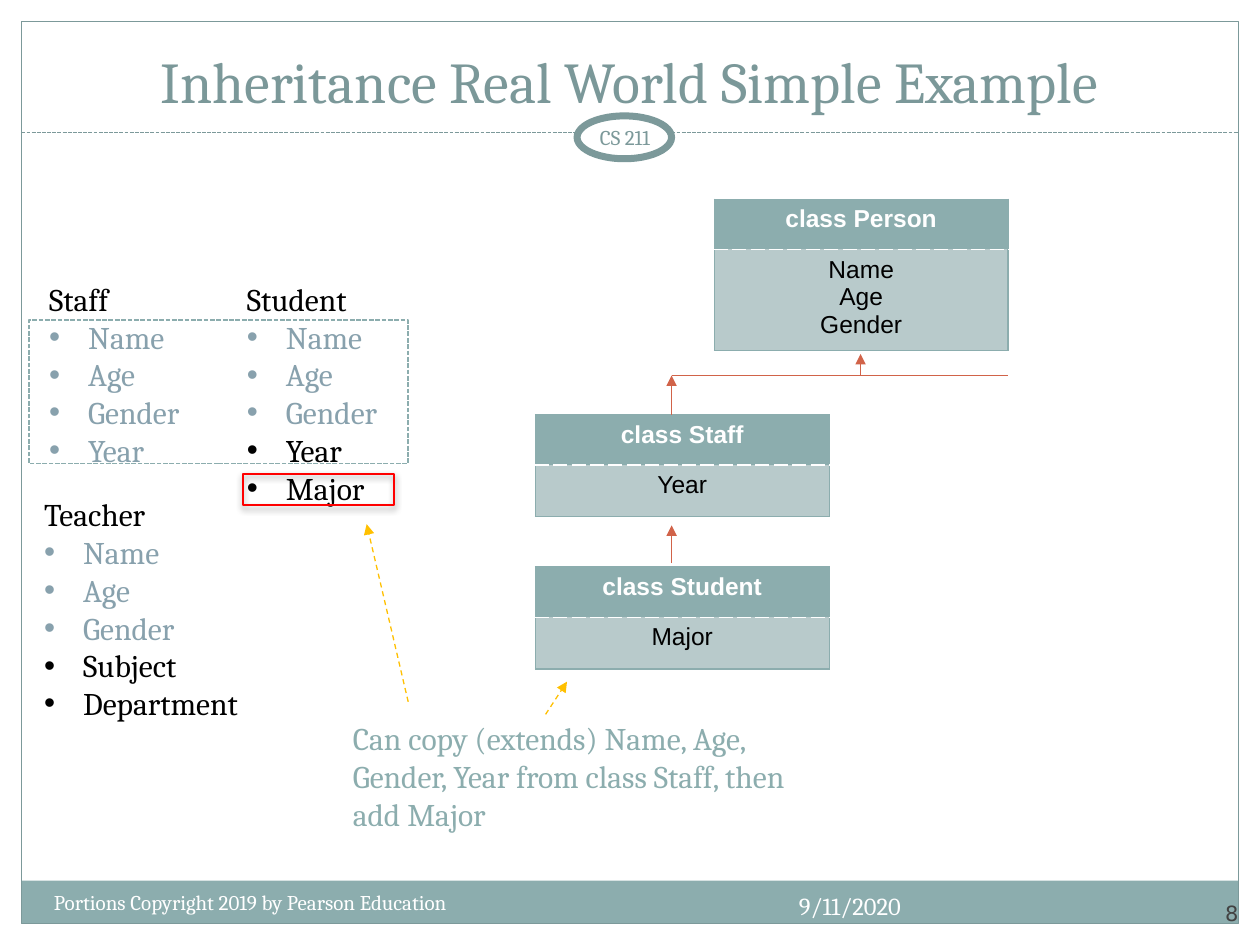
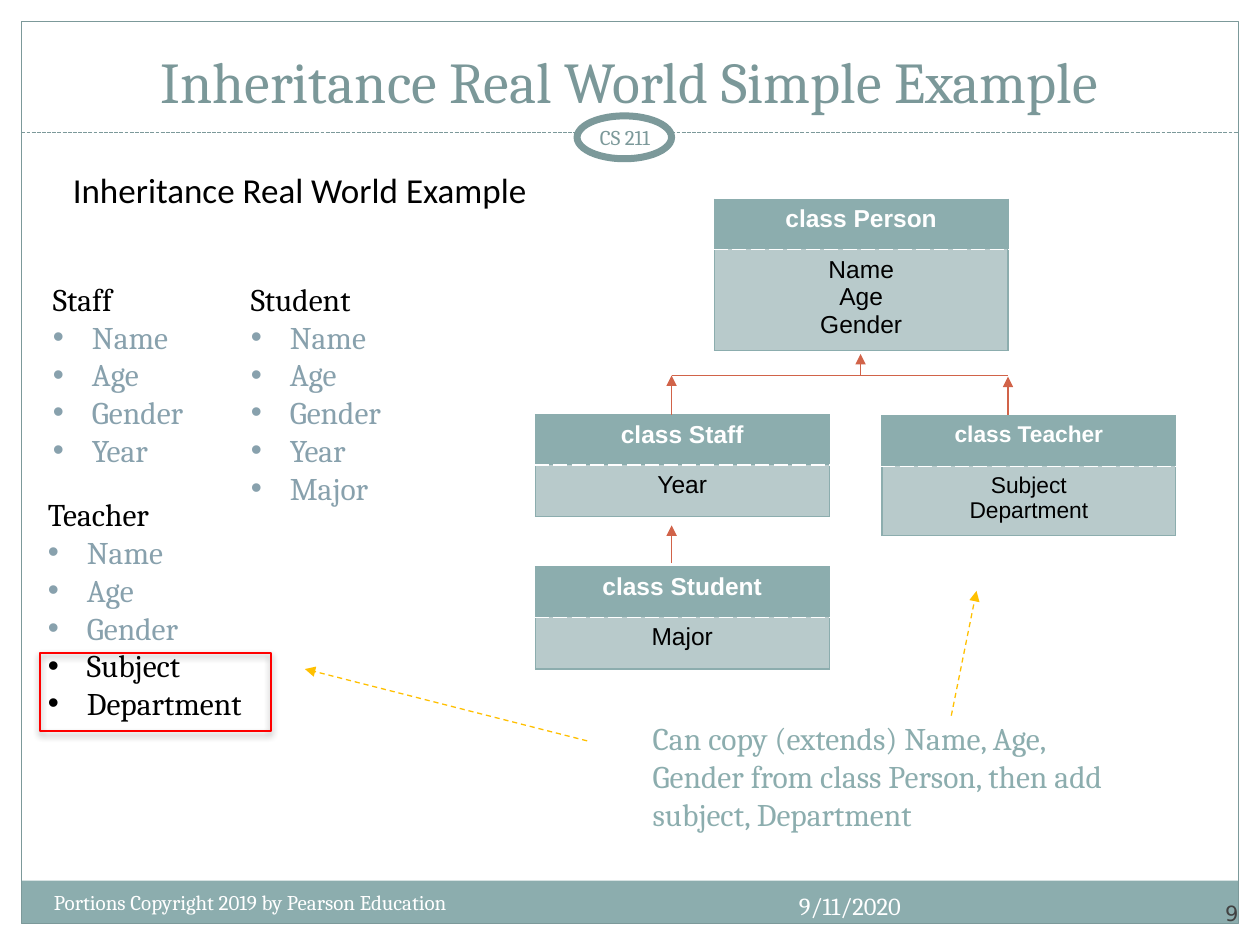
from lxml.etree import SubElement
from pptx import Presentation
from pptx.dml.color import RGBColor
from pptx.enum.dml import MSO_LINE
from pptx.enum.shapes import MSO_CONNECTOR, MSO_SHAPE
from pptx.enum.text import MSO_ANCHOR, MSO_AUTO_SIZE, PP_ALIGN
from pptx.oxml.ns import qn
from pptx.util import Inches, Pt

WIDTH, HEIGHT = 10, 7.5
MARGIN = 0.17
RULE_Y = 1.05
INDENT = 0.31
CLASS_W = 2.33
HEADER_H = 0.4
BRANCH_Y, STAFF_X, TEACHER_X = 2.98, 5.33, 8

TEAL = RGBColor(0x8C, 0xAD, 0xAE)
PALE_TEAL = RGBColor(0xB8, 0xCA, 0xCB)
FRAME = RGBColor(0x7C, 0x99, 0x9A)
TITLE = RGBColor(0x7B, 0x98, 0x99)
INHERITED = RGBColor(0x88, 0xA1, 0xAD)
ORANGE = RGBColor(0xD1, 0x63, 0x49)
YELLOW = RGBColor(0xFF, 0xC0, 0x00)
RED = RGBColor(0xFF, 0x00, 0x00)
GREY = RGBColor(0x42, 0x42, 0x42)
BLACK = RGBColor(0, 0, 0)
WHITE = RGBColor(0xFF, 0xFF, 0xFF)

HEADLINE = "Inheritance Real World Simple Example"
COURSE = "CS 211"
DATE = "9/11/2020"
COPYRIGHT = "Portions Copyright 2019 by Pearson Education"
FIRST_NUMBER = 8

# heading, attributes, box
LISTS = [
    ("Staff", ["Name", "Age", "Gender", "Year"], (0.29, 2.17, 1.36, 1.62)),
    ("Student", ["Name", "Age", "Gender", "Year", "Major"], (1.86, 2.17, 1.36, 1.92)),
    ("Teacher", ["Name", "Age", "Gender", "Subject", "Department"], (0.25, 3.88, 1.87, 1.92)),
]
# class, attributes, left, top, body height, text size
PERSON = ("class Person", ["Name", "Age", "Gender"], 5.67, 1.58, 0.8, 14)
STAFF = ("class Staff", ["Year"], 4.25, 3.29, 0.41, 14)
STUDENT = ("class Student", ["Major"], 4.25, 4.5, 0.41, 14)
TEACHER = ("class Teacher", ["Subject", "Department"], 7, 3.3, 0.55, 13)

BRANCHES = [
    ((6.83, BRANCH_Y), (6.83, 2.81)),
    ((STAFF_X, 3.29), (STAFF_X, BRANCH_Y)),
    ((STAFF_X, 4.47), (STAFF_X, 4.17)),
]
TEACHER_BRANCH = ((TEACHER_X, 3.29), (TEACHER_X, 2.99))

SLIDES = [
    {
        "classes": [PERSON, STAFF, STUDENT],
        "branches": BRANCHES,
        "list_shift": 0,
        "own": {"Student": ["Year", "Major"], "Teacher": ["Subject", "Department"]},
        "highlight": (1.93, 3.76, 1.2, 0.25),
        "inherited_box": (0.23, 2.54, 3.01, 1.14),
        "note": "Can copy (extends) Name, Age, Gender, Year from class Staff, then add Major",
        "note_left": 2.7,
        "pointers": [((3.24, 5.57), (2.91, 4.16)), ((4.33, 5.67), (4.5, 5.41))],
    },
    {
        "subtitle": "Inheritance Real World Example",
        "classes": [PERSON, STAFF, TEACHER, STUDENT],
        "branches": BRANCHES + [TEACHER_BRANCH],
        "list_shift": 0.03,
        "own": {"Teacher": ["Subject", "Department"]},
        "highlight": (0.32, 5.18, 1.83, 0.62),
        "note": "Can copy (extends) Name, Age, Gender from class Person, then add subject, Department",
        "note_left": 5.08,
        "pointers": [((4.66, 5.88), (2.42, 5.31)), ((7.55, 5.68), (7.75, 4.69))],
    },
]


def inches(values):
    return [Inches(value) for value in values]


def place(placeholder, box):
    placeholder.left, placeholder.top, placeholder.width, placeholder.height = inches(box)


def style(paragraph, size, color, font="Cambria", align=PP_ALIGN.LEFT, bold=False):
    paragraph.alignment = align
    paragraph.space_before = Pt(0)
    for run in paragraph.runs:
        run.font.size, run.font.name, run.font.bold = Pt(size), font, bold
        run.font.color.rgb = color


def set_frame(frame, anchor=MSO_ANCHOR.TOP, wrap=True):
    frame.word_wrap = wrap
    frame.auto_size = MSO_AUTO_SIZE.NONE
    frame.vertical_anchor = anchor


def add_label(slide, text, box, size, color, anchor=MSO_ANCHOR.TOP, inset=None, wrap=True, **look):
    frame = slide.shapes.add_textbox(*inches(box)).text_frame
    set_frame(frame, anchor, wrap)
    if inset is not None:
        frame.margin_left = frame.margin_right = Inches(inset)
        frame.margin_top = frame.margin_bottom = Inches(inset)
    frame.text = text
    style(frame.paragraphs[0], size, color, **look)
    return frame


def add_outline(slide, kind, box, fill=None, line=None, width=0.75, dash=None):
    shape = slide.shapes.add_shape(kind, *inches(box))
    shape.shadow.inherit = False
    if fill is None:
        shape.fill.background()
    else:
        shape.fill.solid()
        shape.fill.fore_color.rgb = fill
    if line is None:
        shape.line.fill.background()
    else:
        shape.line.color.rgb = line
        shape.line.width = Pt(width)
        shape.line.dash_style = dash
    return shape


def add_line(slide, start, end, color, dash=None, arrow=False):
    line = slide.shapes.add_connector(MSO_CONNECTOR.STRAIGHT, *inches(start + end))
    line.line.color.rgb = color
    line.line.width = Pt(0.75)
    line.line.dash_style = dash
    properties = line.element.spPr
    if arrow:
        SubElement(properties.find(qn("a:ln")), qn("a:tailEnd"), type="triangle")
    SubElement(properties, qn("a:effectLst"))


def add_frame(slide):
    """Draw the border, title rule, course badge and footer shared by all slides."""
    title = slide.shapes.title
    place(title, (0.33, 0.25, 9.33, 0.71))
    set_frame(title.text_frame, MSO_ANCHOR.BOTTOM)
    title.text_frame.text = HEADLINE
    style(title.text_frame.paragraphs[0], 33, TITLE, align=PP_ALIGN.CENTER)

    inner_w, inner_h = WIDTH - 2 * MARGIN, HEIGHT - 2 * MARGIN
    add_outline(slide, MSO_SHAPE.RECTANGLE, (MARGIN, 6.99, inner_w, 0.34), fill=TEAL)
    add_outline(slide, MSO_SHAPE.RECTANGLE, (MARGIN, MARGIN, inner_w, inner_h), line=FRAME)
    add_line(slide, (MARGIN, RULE_Y), (WIDTH - MARGIN, RULE_Y), FRAME, MSO_LINE.SQUARE_DOT)
    add_outline(slide, MSO_SHAPE.OVAL, (4.58, 0.92, 0.75, 0.34), WHITE, FRAME, 4)
    add_label(slide, COURSE, (4.5, 0.92, 0.92, 0.33), 12, FRAME, MSO_ANCHOR.MIDDLE,
              inset=0.05, align=PP_ALIGN.CENTER)
    add_label(slide, COPYRIGHT, (0.33, 7.01, 4.08, 0.4), 12, WHITE)
    add_label(slide, DATE, (5.59, 7.02, 1.66, 0.4), 14, WHITE, align=PP_ALIGN.RIGHT)


def add_number(slide, number):
    frame = add_label(slide, str(number), (9, 6.95, 0.83, 0.4), 12, GREY, MSO_ANCHOR.BOTTOM,
                      inset=0, font="DejaVu Sans", align=PP_ALIGN.RIGHT)
    run = frame.paragraphs[0].runs[0]._r
    run.tag = qn("a:fld")
    run.set("id", "{B6F15528-21DE-4FAA-801E-634DDDAF4B2B}")
    run.set("type", "slidenum")


def set_bullet(paragraph, char=None):
    properties = paragraph._p.get_or_add_pPr()
    indent = Inches(INDENT) if char else 0
    properties.set("marL", str(indent))
    properties.set("indent", str(-indent))
    if char:
        SubElement(properties, qn("a:buFont"), typeface="Arial")
        SubElement(properties, qn("a:buChar"), char=char)
    else:
        SubElement(properties, qn("a:buNone"))


def fill_body(placeholder, box, heading, attributes=(), own=(), color=BLACK):
    place(placeholder, box)
    frame = placeholder.text_frame
    set_frame(frame)
    frame.text = "\n".join([heading, *attributes])
    for i, paragraph in enumerate(frame.paragraphs):
        set_bullet(paragraph, "•" if i else None)
        is_inherited = i and paragraph.text not in own
        style(paragraph, 18, INHERITED if is_inherited else color)


def set_border(cell, side, color, width=0.75, dash="solid"):
    line = SubElement(cell._tc.get_or_add_tcPr(), qn(f"a:ln{side}"), w=str(Pt(width)))
    SubElement(SubElement(line, qn("a:solidFill")), qn("a:srgbClr"), val=str(color))
    SubElement(line, qn("a:prstDash"), val=dash)


def add_class(slide, name, attributes, left, top, body_h, size):
    box = inches((left, top, CLASS_W, HEADER_H + body_h))
    table = slide.shapes.add_table(2, 1, *box).table
    rows = [(name, HEADER_H, TEAL, WHITE), ("\n".join(attributes), body_h, PALE_TEAL, BLACK)]
    for i, (text, height, fill, color) in enumerate(rows):
        table.rows[i].height = Inches(height)
        cell = table.cell(i, 0)
        for side in "LRTB":
            if (i, side) in [(0, "B"), (1, "T")]:
                set_border(cell, side, WHITE, 0.9, "sysDash")
            else:
                set_border(cell, side, TEAL)
        cell.fill.solid()
        cell.fill.fore_color.rgb = fill
        cell.text_frame.text = text
        for paragraph in cell.text_frame.paragraphs:
            style(paragraph, size, color, "Arial", PP_ALIGN.CENTER, bold=i == 0)


def add_highlight(slide, box):
    highlight = add_outline(slide, MSO_SHAPE.RECTANGLE, box, line=RED, width=1)
    effects = highlight.element.spPr.find(qn("a:effectLst"))
    shadow = SubElement(effects, qn("a:outerShdw"), blurRad=str(Pt(4)), dist=str(Pt(2)),
                        dir="5400000", rotWithShape="0")
    black = SubElement(shadow, qn("a:srgbClr"), val=str(BLACK))
    SubElement(black, qn("a:alpha"), val="45000")


def add_example(deck, content, number):
    slide = deck.slides.add_slide(deck.slide_layouts.get_by_name("Comparison"))
    add_frame(slide)
    add_number(slide, number)

    *list_bodies, note_body = [p for p in slide.placeholders if p.placeholder_format.idx > 0]
    for body, (heading, attributes, (left, *rest)) in zip(list_bodies, LISTS):
        box = (left + content["list_shift"], *rest)
        fill_body(body, box, heading, attributes, content["own"].get(heading, ()))
    fill_body(note_body, (content["note_left"], 5.66, 3.84, 1.01), content["note"], color=TEAL)

    if "subtitle" in content:
        add_label(slide, content["subtitle"], (0.44, 1.29, 3.84, 0.44), 20, BLACK,
                  wrap=False, font="Calibri", align=PP_ALIGN.RIGHT)
    add_highlight(slide, content["highlight"])
    if "inherited_box" in content:
        add_outline(slide, MSO_SHAPE.RECTANGLE, content["inherited_box"], line=TEAL,
                    width=0.9, dash=MSO_LINE.SQUARE_DOT)

    for class_box in content["classes"]:
        add_class(slide, *class_box)
    add_line(slide, (STAFF_X, BRANCH_Y), (TEACHER_X, BRANCH_Y), ORANGE)
    for start, end in content["branches"]:
        add_line(slide, start, end, ORANGE, arrow=True)
    for start, end in content["pointers"]:
        add_line(slide, start, end, YELLOW, MSO_LINE.DASH, arrow=True)


def main():
    deck = Presentation()
    deck.slide_width, deck.slide_height = inches((WIDTH, HEIGHT))
    deck.element.set("firstSlideNum", str(FIRST_NUMBER))
    for number, content in enumerate(SLIDES, FIRST_NUMBER):
        add_example(deck, content, number)
    deck.save("out.pptx")


if __name__ == "__main__":
    main()
